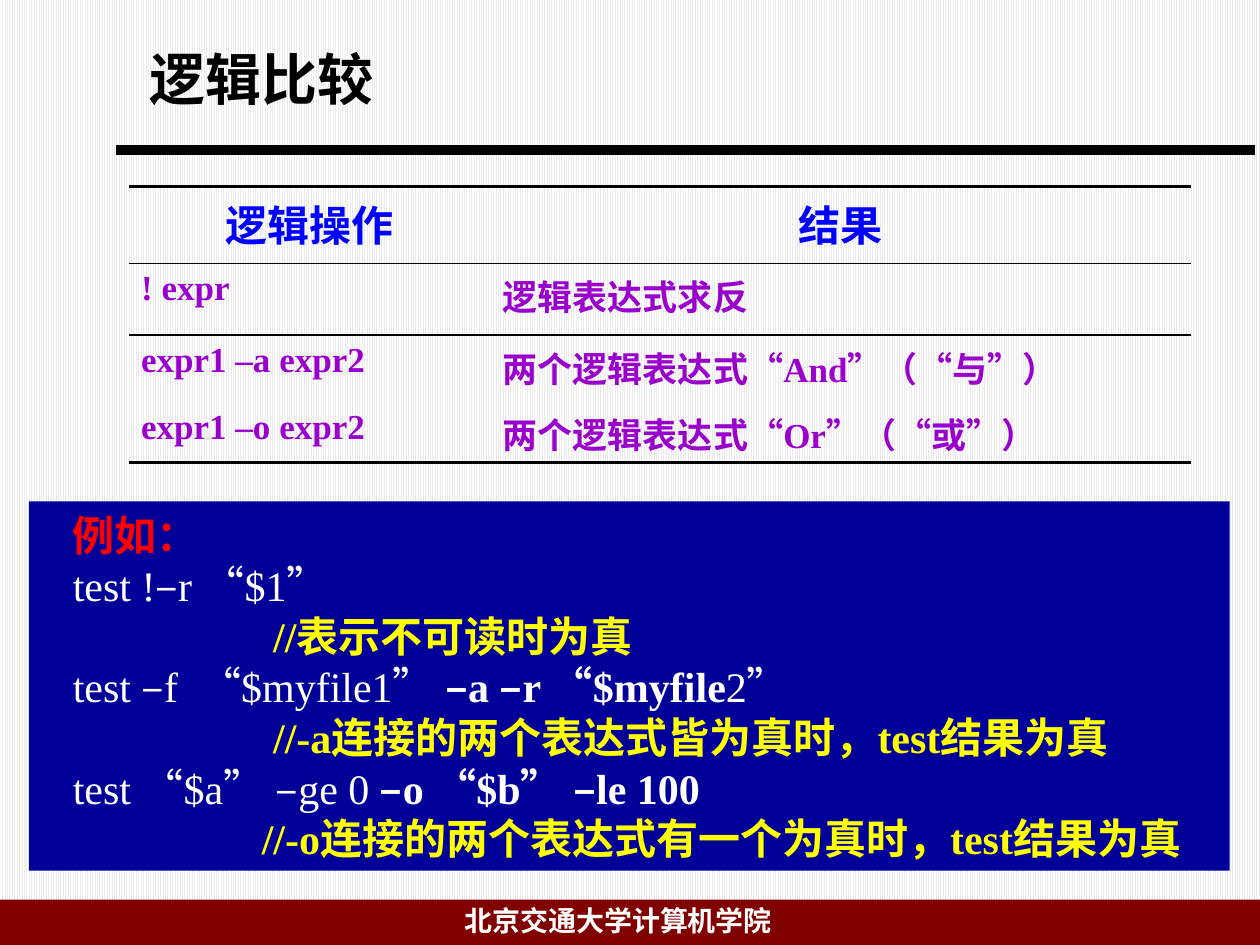
from itertools import groupby

from lxml.etree import SubElement
from pptx import Presentation
from pptx.dml.color import RGBColor
from pptx.enum.dml import MSO_PATTERN
from pptx.enum.shapes import MSO_CONNECTOR, MSO_SHAPE
from pptx.enum.text import MSO_ANCHOR, PP_ALIGN
from pptx.oxml import parse_xml
from pptx.oxml.ns import nsdecls, qn
from pptx.util import Inches, Pt

COLORS = {
    "black": "000000", "white": "FFFFFF", "stripe": "EAEAEA",
    "maroon": "800000", "navy": "000099", "blue": "0000FF",
    "purple": "9900CC", "red": "FF0000", "yellow": "FFFF00",
}
LATIN, CJK = "Times New Roman", "Noto Sans CJK SC"
NO_TABLE_STYLE = "{2D5ABB26-0587-4C30-8999-92F81FD0307C}"
CODE_INDENT = 0.25

OPERATORS = [
    ("逻辑操作", "结果"),
    ("! expr", "逻辑表达式求反"),
    ("expr1 –a expr2", "两个逻辑表达式“And”（“与”）"),
    ("expr1 –o expr2", "两个逻辑表达式“Or”（“或”）"),
]
# Each line: first-line indent, then (text, colour, bold) pieces
EXAMPLES = [
    (CODE_INDENT, [("例如：", "red", True)]),
    (CODE_INDENT, [("test !–r “$1”", "white", False)]),
    (1.84, [("//表示不可读时为真", "yellow", True)]),
    (CODE_INDENT, [("test –f  “$myfile1” ", "white", False),
                   ("–a –r “$myfile", "white", True),
                   ("2”", "white", False)]),
    (1.84, [("//-a连接的两个表达式皆为真时，test结果为真", "yellow", True)]),
    (CODE_INDENT, [("test “$a” –ge 0 ", "white", False),
                   ("–o “$b” –le 100", "white", True)]),
    (1.75, [("//-o连接的两个表达式有一个为真时，test结果为真", "yellow", True)]),
]


def rgb(name):
    return RGBColor.from_string(COLORS[name])


def add_text(paragraph, text, size=24, color="black", bold=True, font=LATIN,
             align=PP_ALIGN.LEFT, spacing=None):
    paragraph.alignment = align
    if spacing:
        paragraph.line_spacing = Pt(spacing)
    run = paragraph.add_run()
    run.text = text
    run.font.size, run.font.bold, run.font.name = Pt(size), bold, font
    run.font.color.rgb = rgb(color)
    SubElement(run.font._element, qn("a:ea")).set("typeface", CJK)


def add_code(paragraph, text, **style):
    """Set full-width quotes and dashes in the CJK font, the rest in Latin."""
    for is_wide, chars in groupby(text, lambda char: char in "“”–"):
        add_text(paragraph, "".join(chars), font=CJK if is_wide else LATIN, **style)


def add_block(slide, left, top, width, height, fill):
    block = slide.shapes.add_shape(MSO_SHAPE.RECTANGLE, Inches(left), Inches(top),
                                   Inches(width), Inches(height))
    block.shadow.inherit = False
    block.fill.solid()
    block.fill.fore_color.rgb = rgb(fill)
    block.line.fill.background()
    return block


def set_border(cell, side, points):
    border = parse_xml(
        f'<a:{side} {nsdecls("a")} w="{int(Pt(points))}"><a:solidFill>'
        f'<a:srgbClr val="{COLORS["black"]}"/></a:solidFill></a:{side}>')
    properties = cell._tc.get_or_add_tcPr()
    properties.insert(len(properties.findall(qn("a:lnT"))), border)


def add_heading(slide):
    title = slide.shapes.title
    title.left, title.top = Inches(1.09), Inches(0.3)
    title.width, title.height = Inches(8.41), Inches(1.25)
    title.text_frame.vertical_anchor = MSO_ANCHOR.TOP
    add_text(title.text_frame.paragraphs[0], "逻辑比较", size=32, spacing=38.4)

    rule = slide.shapes.add_connector(MSO_CONNECTOR.STRAIGHT, Inches(0.92),
                                      Inches(1.19), Inches(9.96), Inches(1.19))
    rule.line.width = Pt(6)
    rule.line.color.rgb = rgb("black")
    SubElement(rule._element.spPr, qn("a:effectLst"))


def add_footer(slide):
    add_block(slide, 0, 7.14, 10, 0.36, "maroon")
    school = slide.shapes.add_textbox(Inches(3.59), Inches(7.12),
                                      Inches(3.32), Inches(0.37))
    school.text_frame.word_wrap = True
    add_text(school.text_frame.paragraphs[0], "北京交通大学计算机学院", size=16,
             color="white", spacing=19.2)


def add_operator_table(slide):
    frame = slide.shapes.add_table(len(OPERATORS), 2, Inches(1.02), Inches(1.48),
                                   Inches(8.43), Inches(2.19))
    table = frame.table
    table.first_row = table.horz_banding = False
    table._tbl.tblPr.find(qn("a:tableStyleId")).text = NO_TABLE_STYLE
    for column, width in zip(table.columns, (2.87, 5.56)):
        column.width = Inches(width)
    for row, height in zip(table.rows, (0.61, 0.57, 0.53, 0.48)):
        row.height = Inches(height)

    header = dict(size=24, color="blue", font=CJK, align=PP_ALIGN.CENTER)
    body = dict(size=20, color="purple")
    # Top and bottom rule weights by row
    rules = {0: {"lnT": 2.25, "lnB": 1}, 1: {"lnT": 1}, 3: {"lnB": 2.25}}
    for r, texts in enumerate(OPERATORS):
        for c, text in enumerate(texts):
            cell = table.cell(r, c)
            cell.fill.background()
            add_text(cell.text_frame.paragraphs[0], text, **(body if r else header))
            for side, points in rules.get(r, {}).items():
                set_border(cell, side, points)


def add_examples(slide):
    frame = add_block(slide, 0.23, 3.98, 9.53, 2.93, "navy").text_frame
    frame.word_wrap = True
    frame.vertical_anchor = MSO_ANCHOR.MIDDLE
    for i, (indent, pieces) in enumerate(EXAMPLES):
        line = frame.add_paragraph() if i else frame.paragraphs[0]
        line._p.get_or_add_pPr().set("indent", str(Inches(indent)))
        for text, color, bold in pieces:
            add_code(line, text, color=color, bold=bold, spacing=28.9)


def main():
    deck = Presentation()
    deck.slide_width, deck.slide_height = Inches(10), Inches(7.5)
    slide = deck.slides.add_slide(deck.slide_layouts[5])

    # Striped background
    background = slide.background.fill
    background.patterned()
    background.pattern = MSO_PATTERN.LIGHT_VERTICAL
    background.fore_color.rgb = rgb("stripe")
    background.back_color.rgb = rgb("white")

    add_heading(slide)
    add_footer(slide)
    add_operator_table(slide)
    add_examples(slide)
    deck.save("out.pptx")


if __name__ == "__main__":
    main()
